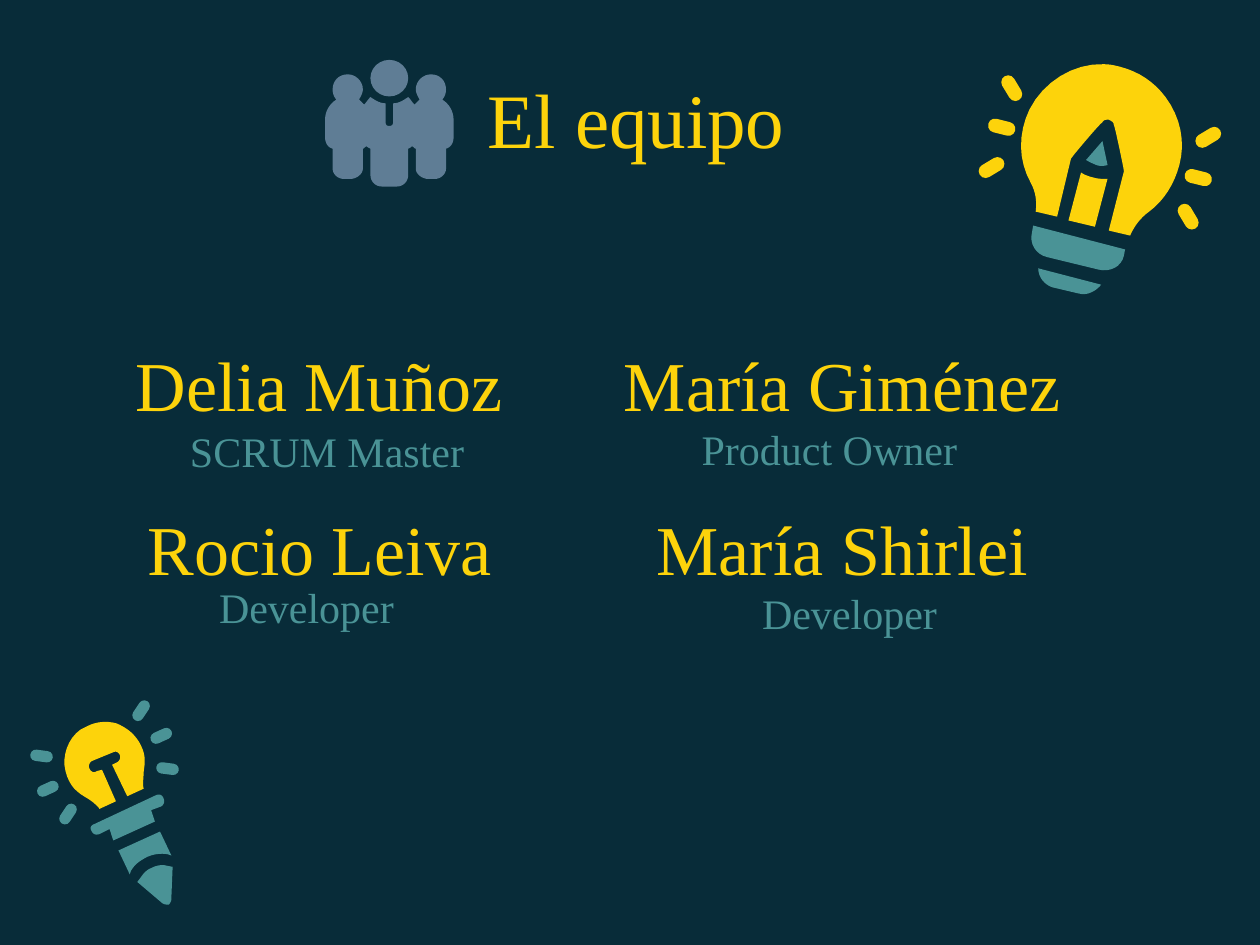
"""Build the team slide: a title, four members with their roles, and three icons."""
from math import cos, radians, sin

from pptx import Presentation
from pptx.dml.color import RGBColor
from pptx.enum.shapes import MSO_SHAPE
from pptx.enum.text import MSO_ANCHOR, MSO_AUTO_SIZE, PP_ALIGN
from pptx.util import Inches, Pt

NAVY = RGBColor(0x08, 0x2C, 0x39)
YELLOW = RGBColor(0xFD, 0xD3, 0x0B)
TEAL = RGBColor(0x4A, 0x93, 0x96)
SLATE = RGBColor(0x5F, 0x7D, 0x95)
FONT = "Times New Roman"
CENTER, LEFT = PP_ALIGN.CENTER, PP_ALIGN.LEFT
MIDDLE, TOP = MSO_ANCHOR.MIDDLE, MSO_ANCHOR.TOP
GROW, FIXED = MSO_AUTO_SIZE.SHAPE_TO_FIT_TEXT, MSO_AUTO_SIZE.NONE
CAPSULE, OVAL = MSO_SHAPE.ROUNDED_RECTANGLE, MSO_SHAPE.OVAL
COLUMNS, ROWS = 10, 7.5
CELL = Inches(1)
CURVE_STEPS = 8
NAME_GAP = 46

PENCIL_BULB = [
    (TEAL, "0.75 6.54, 0.72 6.55 0.71 6.57 0.73 6.6, 0.74 6.62 0.76 6.63 0.79 6.62, 0.87 6.58, "
           "0.9 6.67, 1.23 6.52, 1.2 6.43, 1.28 6.4, 1.3 6.39 1.31 6.36 1.3 6.34, "
           "1.29 6.31 1.27 6.3 1.24 6.31"),
    (YELLOW, "0.7 5.76, 0.68 5.77 0.66 5.78 0.64 5.79, 0.54 5.86 0.49 6 0.52 6.12, "
             "0.55 6.24 0.61 6.29 0.7 6.34, 0.73 6.36 0.77 6.39 0.79 6.42, 0.92 6.36, 0.81 6.11, "
             "0.77 6.12, 0.74 6.14 0.72 6.12 0.71 6.1, 0.7 6.08 0.71 6.05 0.73 6.04, 0.9 5.97, "
             "0.92 5.96 0.94 5.97 0.95 5.99, 0.96 6.01 0.95 6.04 0.93 6.05, 0.89 6.07, 1.01 6.32, "
             "1.14 6.26, 1.13 6.22 1.14 6.18 1.14 6.13, 1.15 6.06 1.16 6 1.12 5.92, "
             "1.08 5.83 1 5.77 0.92 5.74, 0.84 5.72 0.76 5.73 0.7 5.76"),
    (TEAL, "0.94 6.75, 1.03 6.94, 1.04 6.91, 1.07 6.86 1.11 6.83 1.17 6.8, "
           "1.22 6.78 1.27 6.77 1.33 6.78, 1.36 6.79, 1.27 6.6"),
    (TEAL, "1.2 6.89, 1.17 6.9 1.14 6.93 1.12 6.96, 1.09 7, 1.29 7.17, "
           "1.31 7.18 1.32 7.18 1.34 7.18, 1.35 7.17 1.36 7.15 1.36 7.14, 1.37 6.88, 1.32 6.87, "
           "1.28 6.86 1.24 6.87 1.2 6.89"),
]
IDEA_BULB = [
    (YELLOW, "8.89 0.53, 8.85 0.52 8.81 0.51 8.76 0.51, 8.52 0.5 8.28 0.65 8.17 0.87, "
             "8.08 1.06 8.08 1.27 8.18 1.45, 8.22 1.52 8.23 1.6 8.22 1.68, 8.39 1.72, 8.5 1.26, "
             "8.51 1.24 8.73 0.98 8.75 0.97, 8.76 0.95 8.78 0.95 8.8 0.95, "
             "8.82 0.96 8.84 0.97 8.84 0.99, 8.85 1.01 8.92 1.34 8.92 1.36, 8.8 1.83, 8.97 1.87, "
             "9 1.8 9.05 1.73 9.12 1.68, 9.24 1.59 9.32 1.46 9.36 1.31, "
             "9.41 1.13 9.37 0.93 9.25 0.77, 9.16 0.65 9.04 0.57 8.89 0.53"),
    (YELLOW, "8.58 1.37, 8.48 1.75, 8.69 1.8, 8.79 1.42, 8.75 1.42 8.71 1.42 8.68 1.41, "
             "8.64 1.4 8.61 1.39 8.58 1.37"),
    (TEAL, "8.2 1.79, 8.19 1.85, 8.17 1.93 8.22 2.02 8.31 2.04, 8.72 2.14, "
           "8.81 2.16 8.9 2.12 8.92 2.03, 8.93 1.98"),
    (TEAL, "8.75 1.12, 8.62 1.27, 8.65 1.29 8.68 1.3 8.7 1.31, 8.73 1.32 8.76 1.32 8.79 1.31"),
    (TEAL, "8.24 2.13, 8.24 2.2 8.29 2.26 8.35 2.28, 8.56 2.33, 8.63 2.35 8.7 2.31 8.74 2.26"),
]
HALF_TEAM = (
    "3.09 1, 3.07 1 3.06 0.99 3.06 0.97, 3.06 0.82, 3.01 0.82 2.97 0.79 2.94 0.77, "
    "2.92 0.79 2.91 0.81 2.89 0.83, 2.88 0.82 2.86 0.8 2.85 0.79, 2.86 0.77 2.88 0.74 2.88 0.71, "
    "2.88 0.64 2.82 0.59 2.76 0.59, 2.69 0.59 2.64 0.64 2.64 0.71, 2.64 0.74 2.65 0.77 2.67 0.79, "
    "2.62 0.82 2.58 0.88 2.58 0.95, 2.58 1.09, 2.58 1.13 2.6 1.17 2.64 1.18, 2.64 1.34, "
    "2.64 1.38 2.68 1.42 2.73 1.42, 2.78 1.42, 2.83 1.42 2.88 1.38 2.88 1.34, 2.88 1.18, "
    "2.89 1.18 2.89 1.17 2.91 1.16, 2.92 1.17 2.92 1.17 2.94 1.18, 2.94 1.39, "
    "2.94 1.44 2.98 1.48 3.03 1.48, 3.09 1.48")


def trace(outline):
    """Turn steps of one point (line) or three points (Bézier curve) into a list of points."""
    points = []
    for step in outline.split(","):
        numbers = [float(number) for number in step.split()]
        if len(numbers) == 2:
            points.append(tuple(numbers))
            continue
        corners = [points[-1], *zip(numbers[::2], numbers[1::2])]
        for index in range(1, CURVE_STEPS + 1):
            t = index / CURVE_STEPS
            weights = ((1 - t) ** 3, 3 * t * (1 - t) ** 2, 3 * t * t * (1 - t), t ** 3)
            points.append(tuple(sum(w * corner[axis] for w, corner in zip(weights, corners))
                                for axis in (0, 1)))
    return points


def turn(point, angle):
    """Turn a point clockwise about the slide's corner."""
    x, y = point
    c, s = cos(radians(angle)), sin(radians(angle))
    return x * c - y * s, x * s + y * c


def paint(shape, color):
    """Give a shape a plain fill without line or shadow."""
    shape.shadow.inherit = False
    shape.fill.solid()
    shape.fill.fore_color.rgb = color
    shape.line.fill.background()


def add_outline(group, points, color, angle=0):
    """Draw a closed outline whose frame is turned by the angle."""
    upright = [turn(point, -angle) for point in points]
    middle = [(min(values) + max(values)) / 2 for values in zip(*upright)]
    center = turn(middle, angle)
    placed = [(round((x - middle[0] + center[0]) * CELL), round((y - middle[1] + center[1]) * CELL))
              for x, y in upright]
    builder = group.shapes.build_freeform(*placed[0])
    builder.add_line_segments(placed[1:], close=True)
    shape = builder.convert_to_shape()
    shape.rotation = angle
    paint(shape, color)


def add_preset(group, kind, center, size, color, angle=0):
    """Place a preset shape around its center."""
    (x, y), (width, height) = center, size
    shape = group.shapes.add_shape(kind, round((x - width / 2) * CELL), round((y - height / 2) * CELL),
                                   round(width * CELL), round(height * CELL))
    if kind == CAPSULE:
        shape.adjustments[0] = 0.5
    shape.rotation = angle
    paint(shape, color)


def add_bulb(page, parts, angle, center, rays, size, color):
    """Draw a tilted bulb and its rays, each ray repeated across the center."""
    group = page.shapes.add_group_shape()
    for dx, dy, lean in rays:
        for side in (1, -1):
            spot = center[0] + side * dx, center[1] + side * dy
            add_preset(group, CAPSULE, spot, size, color, angle + lean)
    for part_color, outline in parts:
        add_outline(group, trace(outline), part_color, angle)


def add_team(page):
    """Draw the three people, mirrored about the middle one."""
    group = page.shapes.add_group_shape()
    half = trace(HALF_TEAM)
    axis = half[0][0]
    add_preset(group, OVAL, (axis, 0.62), (0.3, 0.29), SLATE)
    add_outline(group, half + [(2 * axis - x, y) for x, y in reversed(half)], SLATE)


def add_text(page, frame, lines, size, color, align=CENTER, anchor=TOP, fit=GROW):
    """Add a text box with one paragraph per line."""
    box = page.shapes.add_textbox(*(round(length * CELL) for length in frame))
    text = box.text_frame
    text.word_wrap = True
    text.auto_size = fit
    text.vertical_anchor = anchor
    for index, line in enumerate(lines):
        para = text.add_paragraph() if index else text.paragraphs[0]
        para.alignment = align
        para.space_before = Pt(NAME_GAP if index else 0)
        span = para.add_run()
        span.text = line
        span.font.name = FONT
        span.font.size = Pt(size)
        span.font.color.rgb = color


def main():
    """Build and save the deck."""
    deck = Presentation()
    deck.slide_width, deck.slide_height = round(COLUMNS * CELL), round(ROWS * CELL)
    page = deck.slides.add_slide(deck.slide_layouts[6])
    page.background.fill.solid()
    page.background.fill.fore_color.rgb = NAVY
    add_text(page, (0.55, 0.31, 9, 1.25), ["El equipo"], 44, YELLOW, anchor=MIDDLE, fit=FIXED)
    add_bulb(page, PENCIL_BULB, -24.5, (0.83, 6.05),
             [(0.45, -0.21, 0), (0.29, -0.41, -32), (0.5, 0.05, 32)], (0.18, 0.09), TEAL)
    add_bulb(page, IDEA_BULB, 14, (8.73, 1.21),
             [(-0.78, -0.2, 0), (-0.7, -0.51, 45), (-0.86, 0.12, -45)], (0.22, 0.11), YELLOW)
    add_team(page)
    add_text(page, (0.62, 2.66, 3.83, 2.12), ["Delia Muñoz", "Rocio Leiva"], 40, YELLOW)
    add_text(page, (4.47, 2.66, 4.43, 2.12), ["María Giménez", "María Shirlei"], 40, YELLOW)
    for role, left, top, width in (("SCRUM Master", 1.41, 3.33, 2.73), ("Product Owner", 5.47, 3.31, 2.42),
                                   ("Developer", 1.64, 4.57, 1.94), ("Developer", 5.95, 4.61, 2.1)):
        add_text(page, (left, top, width, 0.5), [role], 24, TEAL, LEFT)
    deck.save("out.pptx")


if __name__ == "__main__":
    main()
